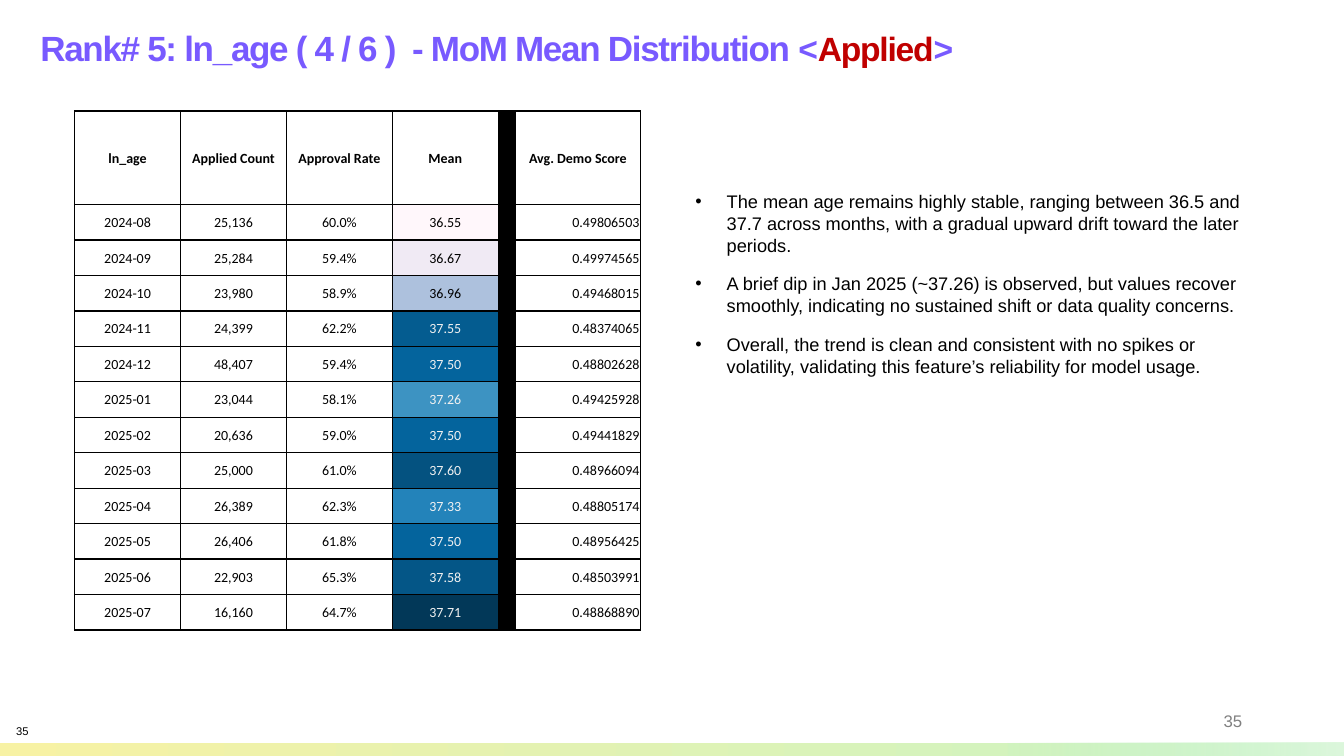
"""Build the slide on the monthly mean distribution of ln_age."""
import pptx
import pptx.dml.color
import pptx.enum.shapes
import pptx.enum.text
import pptx.oxml
import pptx.oxml.ns
import pptx.util
from lxml import etree

RGB = pptx.dml.color.RGBColor
ALIGN = pptx.enum.text.PP_ALIGN
ANCHOR = pptx.enum.text.MSO_ANCHOR
FIT = pptx.enum.text.MSO_AUTO_SIZE
qn = pptx.oxml.ns.qn

BLACK = RGB(0, 0, 0)
WHITE = RGB(255, 255, 255)
GREY = RGB(0x80, 0x80, 0x80)
LIGHT = RGB(0xF1, 0xF1, 0xF1)
VIOLET = RGB(0x78, 0x5A, 0xFF)
RED = RGB(0xC0, 0, 0)
YELLOW = RGB(0xF7, 0xF2, 0xA4)
GREEN = RGB(0xC7, 0xF3, 0xC6)
PALE_GREEN = RGB(0xDD, 0xF8, 0xDD)

WIDTH = pptx.util.Inches(13.33)
HEIGHT = pptx.util.Inches(7.5)

TITLE = [
    ("Rank# 5: ln_age ( 4 / 6 )  - MoM Mean Distribution ", 25, VIOLET),
    ("<", 24, VIOLET),
    ("Applied", 24, RED),
    (">", 24, VIOLET),
]
NOTES = [
    "The mean age remains highly stable, ranging between 36.5 and 37.7 across months, "
    "with a gradual upward drift toward the later periods.",
    "A brief dip in Jan 2025 (~37.26) is observed, but values recover smoothly, "
    "indicating no sustained shift or data quality concerns.",
    "Overall, the trend is clean and consistent with no spikes or volatility, "
    "validating this feature’s reliability for model usage.",
]
HEADERS = ["ln_age", "Applied Count", "Approval Rate", "Mean", "", "Avg. Demo Score"]
MONTHS = [
    ("2024-08", "25,136", "60.0%", "36.55", "", "0.49806503"),
    ("2024-09", "25,284", "59.4%", "36.67", "", "0.49974565"),
    ("2024-10", "23,980", "58.9%", "36.96", "", "0.49468015"),
    ("2024-11", "24,399", "62.2%", "37.55", "", "0.48374065"),
    ("2024-12", "48,407", "59.4%", "37.50", "", "0.48802628"),
    ("2025-01", "23,044", "58.1%", "37.26", "", "0.49425928"),
    ("2025-02", "20,636", "59.0%", "37.50", "", "0.49441829"),
    ("2025-03", "25,000", "61.0%", "37.60", "", "0.48966094"),
    ("2025-04", "26,389", "62.3%", "37.33", "", "0.48805174"),
    ("2025-05", "26,406", "61.8%", "37.50", "", "0.48956425"),
    ("2025-06", "22,903", "65.3%", "37.58", "", "0.48503991"),
    ("2025-07", "16,160", "64.7%", "37.71", "", "0.48868890"),
]
MEAN_FILLS = {
    "36.55": "FFF7FB", "36.67": "F0EAF4", "36.96": "ADC1DD", "37.26": "3D93C2",
    "37.33": "2383BA", "37.50": "04649D", "37.55": "045C90", "37.58": "045687",
    "37.60": "045280", "37.71": "023858",
}
MEAN, DIVIDER, SCORE = 3, 4, 5
COLUMN_SHARES = [7.88, 7.88, 7.88, 7.88, 1.28, 9.3]
TABLE_SHARE, HEADER_SHARE = 68.67, 12.4


def across(share):
    """Return a percentage of the slide's width."""
    return round(WIDTH * share / 100)


def down(share):
    """Return a percentage of the slide's height."""
    return round(HEIGHT * share / 100)


def area(x, y, w, h):
    """Return left, top, width and height from percentages of the slide."""
    return across(x), down(y), across(w), down(h)


def set_margins(box, side, top, bottom):
    """Set the inner margins of a text frame or cell in inches."""
    box.margin_left = box.margin_right = pptx.util.Inches(side)
    box.margin_top = pptx.util.Inches(top)
    box.margin_bottom = pptx.util.Inches(bottom)


def add_run(p, text, size, color, bold=False, font="Arial"):
    """Append a formatted run to a paragraph."""
    r = p.add_run()
    r.text = text
    r.font.size = pptx.util.Pt(size)
    r.font.name = font
    r.font.bold = bold
    r.font.color.rgb = color
    return r


def add_text_box(slide, place):
    """Add a wrapping text box and return its frame."""
    tf = slide.shapes.add_textbox(*area(*place)).text_frame
    tf.word_wrap = True
    return tf


def format_title(sp):
    """Place the title placeholder and write its runs."""
    sp.left, sp.top, sp.width, sp.height = area(3, 1.07, 92.12, 7.6)
    sp.fill.solid()
    sp.fill.fore_color.rgb = WHITE
    tf = sp.text_frame
    tf.word_wrap = True
    tf.auto_size = FIT.SHAPE_TO_FIT_TEXT
    tf.vertical_anchor = ANCHOR.MIDDLE
    set_margins(tf, 0, 0, 0)
    p = tf.paragraphs[0]
    p.alignment = ALIGN.LEFT
    p.line_spacing = 1.5
    for text, size, color in TITLE:
        r = add_run(p, text, size, color, bold=True)
        r.font._element.set("spc", "-90")


def add_band(slide, place, stops):
    """Add a strip with a left-to-right gradient of position, colour and opacity."""
    sp = slide.shapes.add_shape(pptx.enum.shapes.MSO_SHAPE.RECTANGLE, *area(*place))
    sp.shadow.inherit = False
    sp.line.fill.background()
    sp.fill.gradient()
    sp.fill.gradient_angle = 0
    for stop, (position, color, _) in zip(sp.fill.gradient_stops, stops):
        stop.position = position
        stop.color.rgb = color
    for clr, (_, _, opacity) in zip(sp._element.spPr.iter(qn("a:srgbClr")), stops):
        if opacity < 1:
            etree.SubElement(clr, qn("a:alpha")).set("val", str(round(opacity * 100000)))


def add_notes(slide):
    """Add the bulleted findings."""
    tf = add_text_box(slide, (51.01, 24.53, 42.09, 23.33))
    tf.auto_size = FIT.SHAPE_TO_FIT_TEXT
    indent = pptx.util.Inches(0.31)
    for i, note in enumerate(NOTES):
        p = tf.add_paragraph() if i else tf.paragraphs[0]
        pPr = p._p.get_or_add_pPr()
        pPr.set("marL", str(indent))
        pPr.set("indent", str(-indent))
        p.space_after = pptx.util.Pt(12)
        etree.SubElement(pPr, qn("a:buFont")).set("typeface", "Arial")
        etree.SubElement(pPr, qn("a:buChar")).set("char", "•")
        add_run(p, note, 13, BLACK)


def add_borders(cell):
    """Draw a one-point black line on each side of a cell, ahead of its fill."""
    tcPr = cell._tc.get_or_add_tcPr()
    for i, side in enumerate(("lnL", "lnR", "lnT", "lnB")):
        ln = etree.Element(qn("a:" + side), w=str(pptx.util.Pt(1)))
        fill = etree.SubElement(ln, qn("a:solidFill"))
        etree.SubElement(fill, qn("a:srgbClr")).set("val", str(BLACK))
        tcPr.insert(i, ln)


def fill_cell(cell, text, row, col):
    """Write and colour one table cell by its row and column."""
    fill, color = WHITE, BLACK
    if col == DIVIDER:
        fill = BLACK
    elif row and col == MEAN:
        fill = RGB.from_string(MEAN_FILLS[text])
        color = LIGHT if float(text) > 37 else BLACK
    cell.fill.solid()
    cell.fill.fore_color.rgb = fill
    add_borders(cell)
    set_margins(cell, 0.01, 0.01, 0)
    cell.vertical_anchor = ANCHOR.MIDDLE
    if text:
        p = cell.text_frame.paragraphs[0]
        p.alignment = ALIGN.RIGHT if row and col == SCORE else ALIGN.CENTER
        add_run(p, text, 10, color, bold=row == 0, font="Calibri")


def add_month_table(slide):
    """Add the table of monthly figures."""
    rows = [HEADERS, *MONTHS]
    place = area(5.55, 14.67, sum(COLUMN_SHARES), TABLE_SHARE)
    table = slide.shapes.add_table(len(rows), len(HEADERS), *place).table
    table.first_row = table.horz_banding = False
    for column, share in zip(table.columns, COLUMN_SHARES):
        column.width = across(share)
    month_share = (TABLE_SHARE - HEADER_SHARE) / len(MONTHS)
    for i, values in enumerate(rows):
        table.rows[i].height = down(month_share if i else HEADER_SHARE)
        for j, text in enumerate(values):
            fill_cell(table.cell(i, j), text, i, j)


def add_page_numbers(slide):
    """Add the large grey and the small black page number."""
    tf = add_text_box(slide, (70.67, 92.67, 22.5, 5.33))
    tf.vertical_anchor = ANCHOR.MIDDLE
    p = tf.paragraphs[0]
    p.alignment = ALIGN.RIGHT
    p.space_after = pptx.util.Pt(6)
    add_run(p, "35", 12, GREY)
    tf = add_text_box(slide, (1.2, 95.87, 21.9, 3.33))
    set_margins(tf, 0, 0, 0)
    add_run(tf.paragraphs[0], "35", 8, BLACK)


def main():
    """Build and save the slide."""
    prs = pptx.Presentation()
    prs.slide_width, prs.slide_height = WIDTH, HEIGHT
    slide = prs.slides.add_slide(prs.slide_layouts[5])
    format_title(slide.shapes.title)
    add_band(slide, (0, 98.27, 100, 1.73), [(0, YELLOW, 1), (1, GREEN, 1)])
    add_band(slide, (69, 98.27, 31, 1.73), [(0.19, GREEN, 0), (1, PALE_GREEN, 1)])
    add_page_numbers(slide)
    add_notes(slide)
    add_month_table(slide)
    prs.save("out.pptx")


if __name__ == "__main__":
    main()
